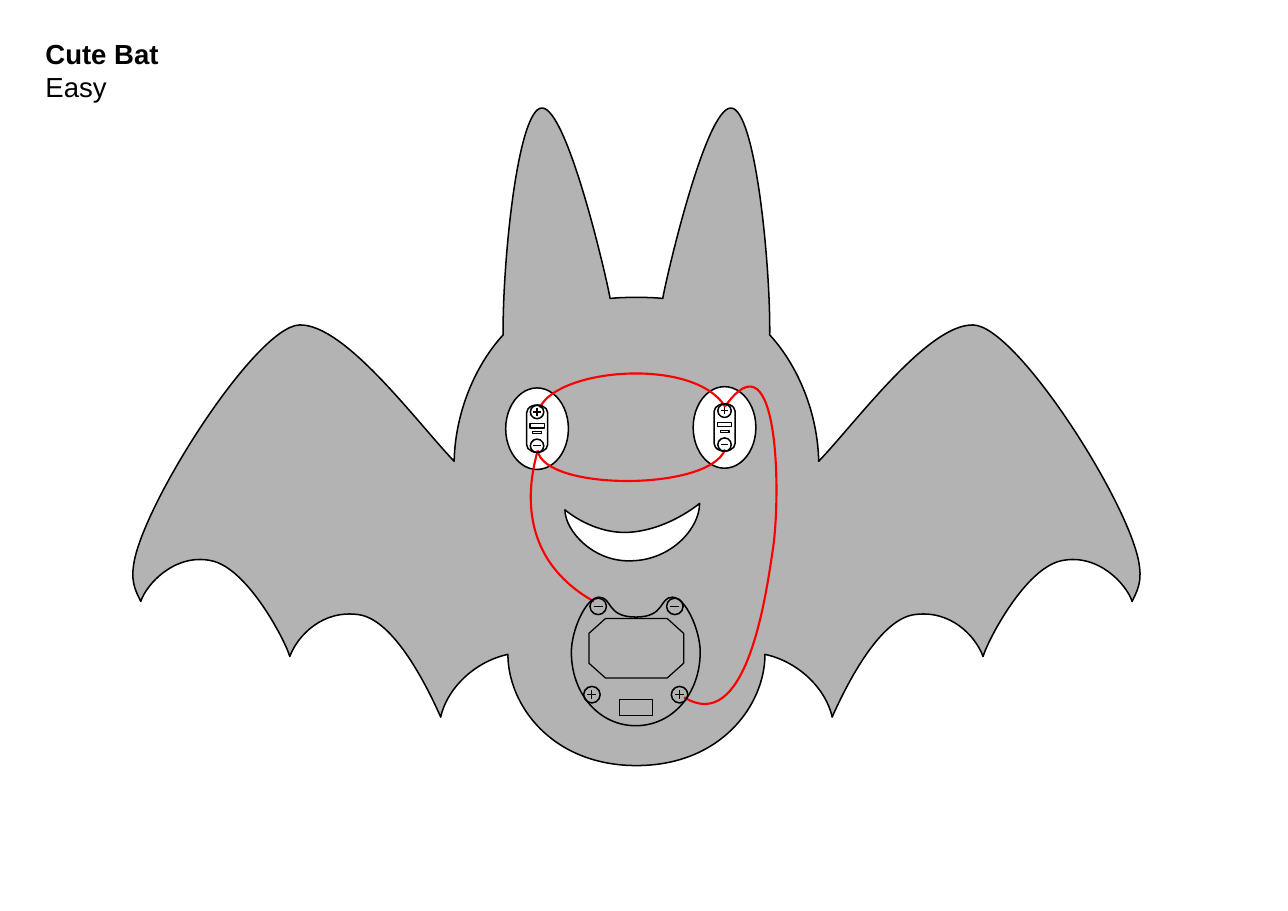
"""Build the Cute Bat slide: a bat outline with two eye lights wired to a battery holder."""
from lxml import etree
from pptx import Presentation
from pptx.dml.color import RGBColor
from pptx.enum.shapes import MSO_CONNECTOR, MSO_SHAPE
from pptx.enum.text import MSO_AUTO_SIZE
from pptx.oxml.ns import qn
from pptx.util import Pt

ELLIPSE = MSO_SHAPE.OVAL
RECTANGLE = MSO_SHAPE.RECTANGLE
TERMINATOR = MSO_SHAPE.FLOWCHART_TERMINATOR
STRAIGHT = MSO_CONNECTOR.STRAIGHT
GROW = MSO_AUTO_SIZE.SHAPE_TO_FIT_TEXT

BLACK = RGBColor(0, 0, 0)
WHITE = RGBColor(255, 255, 255)
GREY = RGBColor(0xB3, 0xB3, 0xB3)
RED = RGBColor(255, 0, 0)

SLIDE_SIZE = (841.7, 595.4)
OUTLINE, THIN, WIRE = 1, 0.79, 1.39
CURVE_STEPS = 20

TITLE_LINES = [("Cute Bat", True), ("Easy", False)]
TITLE_BOX = (22.6, 20.8, 136.1, 47.5)

BAT_AXIS = 415.9
BAT_LEFT_HALF = [
    (415.9, 500.4), (360.7, 500.4), (331.9, 460.8), (331.9, 427.7),
    (308.9, 432.7), (291.6, 451.4), (288, 468.7),
    (279.4, 449.3), (257.8, 405.4), (234.7, 401.8),
    (211, 398.2), (194.4, 415.4), (189.4, 429.1),
    (186.5, 419), (162, 371.5), (138.2, 366.5),
    (114.5, 361.4), (95.8, 381.6), (92, 393.1),
    (89.3, 387.4), (85.7, 381.6), (87.1, 370.8),
    (90.7, 333.4), (167, 213.1), (195.8, 212.4),
    (225.4, 211.7), (272.2, 275.8), (296.8, 301.5),
    (297.4, 270), (310.3, 239), (328.8, 218.9),
    (328.3, 171.4), (338.4, 70.6), (354.2, 70.6),
    (370.8, 70.6), (396.7, 182.9), (398.7, 195.1),
    (405, 194.4), (411, 194.4), (415.9, 194.4),
]
MOUTH = [
    (412.6, 347.8), (437.8, 345.6), (457.2, 329), (457.2, 329),
    (457.2, 345.6), (438.5, 365.8), (413.3, 366.5),
    (388.1, 367.9), (369.2, 347), (369.2, 333.2),
    (369.2, 333.2), (388.1, 349.9), (412.6, 347.8),
]
EYES = [(351, 280.2), (473.5, 279.4)]
EYE_SIZE = (41, 53.3)

WIRES = [
    [(447.1, 455.8), (486.7, 480.2), (499.7, 395.3), (504.7, 361.4),
     (510.5, 327.6), (509.8, 214.6), (473.8, 265.7)],
    [(352.8, 266.4), (365, 240.5), (453.6, 233.3), (473.8, 265.7)],
    [(473.8, 293.8), (463.7, 321.1), (355.7, 321.1), (351.4, 294.5)],
    [(351.4, 294.5), (348.5, 306), (331.9, 361.4), (388.1, 393.1)],
]

LIGHT_BODY = (31, 13.7)
LIGHT_PARTS = [(-1.8, 9.4, 2.9), (2.6, 5.8, 1.4)]
LIGHT_TERMINALS = [(11.2, "−"), (-10.9, "+")]

HOLDER_AXIS = 415.5
HOLDER_LEFT_HALF = [
    (415.5, 474.3), (391.7, 474.3), (373.4, 453.6), (373.4, 426.2),
    (373.4, 411.8), (383, 390.3), (391.5, 390.3),
    (400.3, 390.3), (396, 403.3), (415.5, 403.3),
]
BATTERY = [
    (395.8, 443.2), (384.9, 433.5), (384.9, 414), (395.8, 404.2),
    (436, 404.2), (446.8, 414), (446.8, 433.5), (436, 443.2),
]
SWITCH = (415.5, 462.5, 21.6, 10.4)
HOLDER_TERMINALS = [(386.8, 454, "+"), (390.9, 396.3, "−"), (441, 396.3, "−"), (444.1, 454, "+")]


def mirrored(half, axis):
    """Extend a half outline with its reflection in a vertical axis."""
    return half + [(2 * axis - x, y) for x, y in reversed(half[:-1])]


def cubic(segment, t):
    """Return the point at t on one cubic curve."""
    weights = ((1 - t) ** 3, 3 * t * (1 - t) ** 2, 3 * t * t * (1 - t), t ** 3)
    return tuple(sum(w * point[axis] for w, point in zip(weights, segment)) for axis in (0, 1))


def curve_bounds(controls):
    """Return the top left and bottom right corners of a chain of cubic curves."""
    points = [
        cubic(controls[first:first + 4], step / CURVE_STEPS)
        for first in range(0, len(controls) - 1, 3)
        for step in range(CURVE_STEPS + 1)
    ]
    return [tuple(pick(values) for values in zip(*points)) for pick in (min, max)]


def style(shape, fill, line, width):
    """Set fill, line and shadow of a shape."""
    shape.shadow.inherit = False
    if fill is None:
        shape.fill.background()
    else:
        shape.fill.solid()
        shape.fill.fore_color.rgb = fill
    shape.line.color.rgb = line
    shape.line.width = Pt(width)


def add_polygon(shapes, points, close=True):
    """Draw a freeform of straight sides."""
    vertices = [(Pt(x), Pt(y)) for x, y in points]
    builder = shapes.build_freeform(*vertices[0], scale=1.0)
    builder.add_line_segments(vertices[1:], close=close)
    return builder.convert_to_shape()


def add_curve(shapes, controls, fill=None, line=BLACK, width=OUTLINE, close=True):
    """Draw a freeform of cubic curves inside its exact bounds."""
    bounds = curve_bounds(controls)
    left, top = bounds[0]
    shape = add_polygon(shapes, bounds, close=False)
    outline = next(shape.element.iter(qn("a:path")))
    for command in list(outline):
        outline.remove(command)
    commands = [("a:moveTo", controls[:1])]
    commands += [("a:cubicBezTo", controls[i:i + 3]) for i in range(1, len(controls), 3)]
    for tag, points in commands:
        command = etree.SubElement(outline, qn(tag))
        for x, y in points:
            etree.SubElement(command, qn("a:pt"), x=str(int(Pt(x - left))), y=str(int(Pt(y - top))))
    if close:
        etree.SubElement(outline, qn("a:close"))
    style(shape, fill, line, width)


def add_centred(shapes, kind, x, y, width, height, fill=None, line_width=OUTLINE):
    """Draw a preset shape around a centre."""
    shape = shapes.add_shape(kind, Pt(x - width / 2), Pt(y - height / 2), Pt(width), Pt(height))
    style(shape, fill, BLACK, line_width)
    return shape


def add_terminal(shapes, x, y, sign, diameter):
    """Draw a round terminal with a plus or minus sign."""
    add_centred(shapes, ELLIPSE, x, y, diameter, diameter)
    arm = diameter * 0.27
    strokes = [(arm, 0), (0, arm)] if sign == "+" else [(arm, 0)]
    for dx, dy in strokes:
        connector = shapes.add_connector(STRAIGHT, Pt(x - dx), Pt(y - dy), Pt(x + dx), Pt(y + dy))
        connector.line.color.rgb = BLACK
        connector.line.width = Pt(THIN)
        etree.SubElement(connector.element.spPr, qn("a:effectLst"))


def add_bat(slide):
    """Draw the bat with its eyes and mouth."""
    shapes = slide.shapes.add_group_shape().shapes
    add_curve(shapes, mirrored(BAT_LEFT_HALF, BAT_AXIS), GREY)
    for x, y in EYES:
        add_centred(shapes, ELLIPSE, x, y, *EYE_SIZE, fill=WHITE)
    add_curve(shapes, MOUTH, WHITE)


def add_light(slide, x, y):
    """Draw one eye light."""
    shapes = slide.shapes.add_group_shape().shapes
    add_centred(shapes, TERMINATOR, x, y, *LIGHT_BODY).rotation = 90
    for dy, width, height in LIGHT_PARTS:
        add_centred(shapes, RECTANGLE, x, y + dy, width, height, line_width=THIN)
    for dy, sign in LIGHT_TERMINALS:
        add_terminal(shapes, x, y + dy, sign, 8.8)


def add_holder(slide):
    """Draw the battery holder."""
    shapes = slide.shapes.add_group_shape().shapes
    add_curve(shapes, mirrored(HOLDER_LEFT_HALF, HOLDER_AXIS))
    style(add_polygon(shapes, BATTERY), None, BLACK, THIN)
    add_centred(shapes, RECTANGLE, *SWITCH, line_width=THIN)
    for x, y, sign in HOLDER_TERMINALS:
        add_terminal(shapes, x, y, sign, 10.8)


def add_title(slide):
    """Write the name and the difficulty."""
    frame = slide.shapes.add_textbox(*map(Pt, TITLE_BOX)).text_frame
    frame.word_wrap = True
    frame.auto_size = GROW
    for index, (text, bold) in enumerate(TITLE_LINES):
        paragraph = frame.add_paragraph() if index else frame.paragraphs[0]
        run = paragraph.add_run()
        run.text = text
        run.font.name = "Arial"
        run.font.size = Pt(18)
        run.font.bold = bold
        run.font.color.rgb = BLACK


def main():
    """Assemble and save the slide."""
    presentation = Presentation()
    presentation.slide_width, presentation.slide_height = map(Pt, SLIDE_SIZE)
    slide = presentation.slides.add_slide(presentation.slide_layouts[6])
    add_bat(slide)
    for wire in WIRES:
        add_curve(slide.shapes, wire, line=RED, width=WIRE, close=False)
    for x, y in EYES:
        add_light(slide, x, y)
    add_holder(slide)
    add_title(slide)
    presentation.save("out.pptx")


if __name__ == "__main__":
    main()
